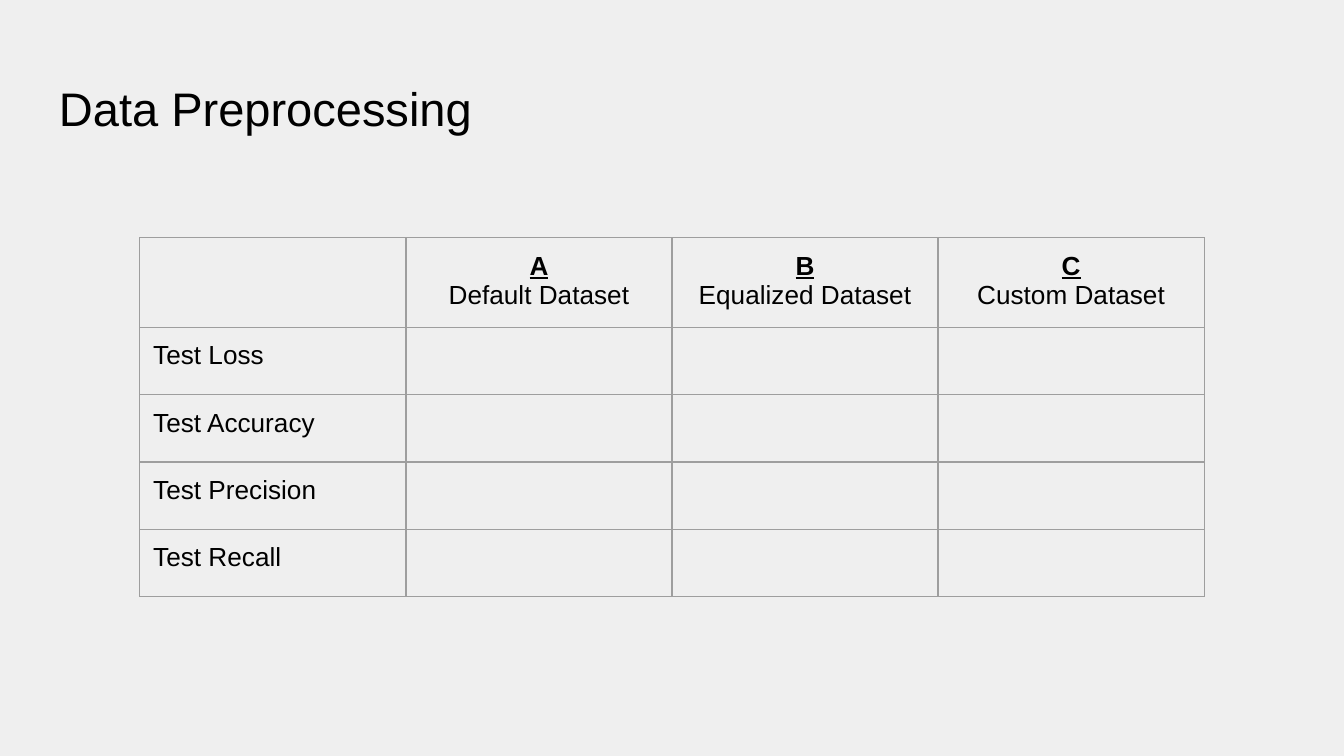
from lxml import etree
from pptx import Presentation
from pptx.dml.color import RGBColor
from pptx.enum.text import MSO_ANCHOR, PP_ALIGN
from pptx.oxml.ns import qn
from pptx.util import Inches, Pt

CENTER, LEFT, TOP = PP_ALIGN.CENTER, PP_ALIGN.LEFT, MSO_ANCHOR.TOP

# Content
TITLE = "Data Preprocessing"
DATASETS = [("A", "Default Dataset"), ("B", "Equalized Dataset"),
            ("C", "Custom Dataset")]
METRICS = ["Test Loss", "Test Accuracy", "Test Precision", "Test Recall"]

THEME = {"font": "Arial", "bg": "EFEFEF", "text": "000000", "border": "9E9E9E",
         "title_size": 25.2, "cell_size": 14, "empty_size": 18,
         "border_width": 0.75}

# Layout in inches; rows grow to fit their text
SLIDE_WIDTH = 10
SLIDE_HEIGHT = SLIDE_WIDTH * 9 / 16
TABLE_LEFT, TABLE_TOP = 1.04, 1.77
COL_WIDTH, ROW_HEIGHT = 1.98, 0.42
INSET = Inches(0.1)


def set_insets(box):
    box.margin_left = box.margin_right = INSET
    box.margin_top = box.margin_bottom = INSET


def add_run(p, text, size, emphasis=False):
    r = p.add_run()
    r.text = text
    r.font.name = THEME["font"]
    r.font.size = Pt(size)
    r.font.color.rgb = RGBColor.from_string(THEME["text"])
    r.font.bold = r.font.underline = emphasis


def add_borders(cell):
    tc_pr = cell._tc.get_or_add_tcPr()
    for i, side in enumerate(("lnL", "lnR", "lnT", "lnB")):
        ln = etree.Element(qn(f"a:{side}"), w=str(Pt(THEME["border_width"])))
        fill = etree.SubElement(ln, qn("a:solidFill"))
        etree.SubElement(fill, qn("a:srgbClr"), val=THEME["border"])
        tc_pr.insert(i, ln)


def size_empty_cell(cell):
    """Set the font that gives an empty cell its height."""
    p = cell.text_frame.paragraphs[0]
    end = etree.SubElement(p._p, qn("a:endParaRPr"),
                           sz=str(THEME["empty_size"] * 100))
    etree.SubElement(end, qn("a:latin"), typeface=THEME["font"])


def fill_cell(cell, lines, align):
    """Write (text, emphasis) lines, one paragraph each."""
    tf = cell.text_frame
    for i, (text, emphasis) in enumerate(lines):
        p = tf.add_paragraph() if i else tf.paragraphs[0]
        p.alignment = align
        add_run(p, text, THEME["cell_size"], emphasis)


prs = Presentation()
prs.slide_width, prs.slide_height = Inches(SLIDE_WIDTH), Inches(SLIDE_HEIGHT)
s = prs.slides.add_slide(prs.slide_layouts[6])
s.background.fill.solid()
s.background.fill.fore_color.rgb = RGBColor.from_string(THEME["bg"])

# Title
tf = s.shapes.add_textbox(Inches(0.34), Inches(0.49),
                          Inches(9.32), Inches(0.63)).text_frame
tf.word_wrap = True
tf.vertical_anchor = TOP
set_insets(tf)
add_run(tf.paragraphs[0], TITLE, THEME["title_size"])

# Results table
n_rows, n_cols = len(METRICS) + 1, len(DATASETS) + 1
table = s.shapes.add_table(
    n_rows, n_cols, Inches(TABLE_LEFT), Inches(TABLE_TOP),
    Inches(n_cols * COL_WIDTH), Inches(n_rows * ROW_HEIGHT)).table
table.first_row = table.horz_banding = False
for cell in table.iter_cells():
    cell.fill.background()
    cell.vertical_anchor = TOP
    set_insets(cell)
    add_borders(cell)

# Header row and metric column
for c, (letter, name) in enumerate(DATASETS, 1):
    fill_cell(table.cell(0, c), [(letter, True), (name, False)], CENTER)
for r, metric in enumerate(METRICS, 1):
    fill_cell(table.cell(r, 0), [(metric, False)], LEFT)
for cell in table.iter_cells():
    if not cell.text:
        size_empty_cell(cell)

prs.save("out.pptx")
